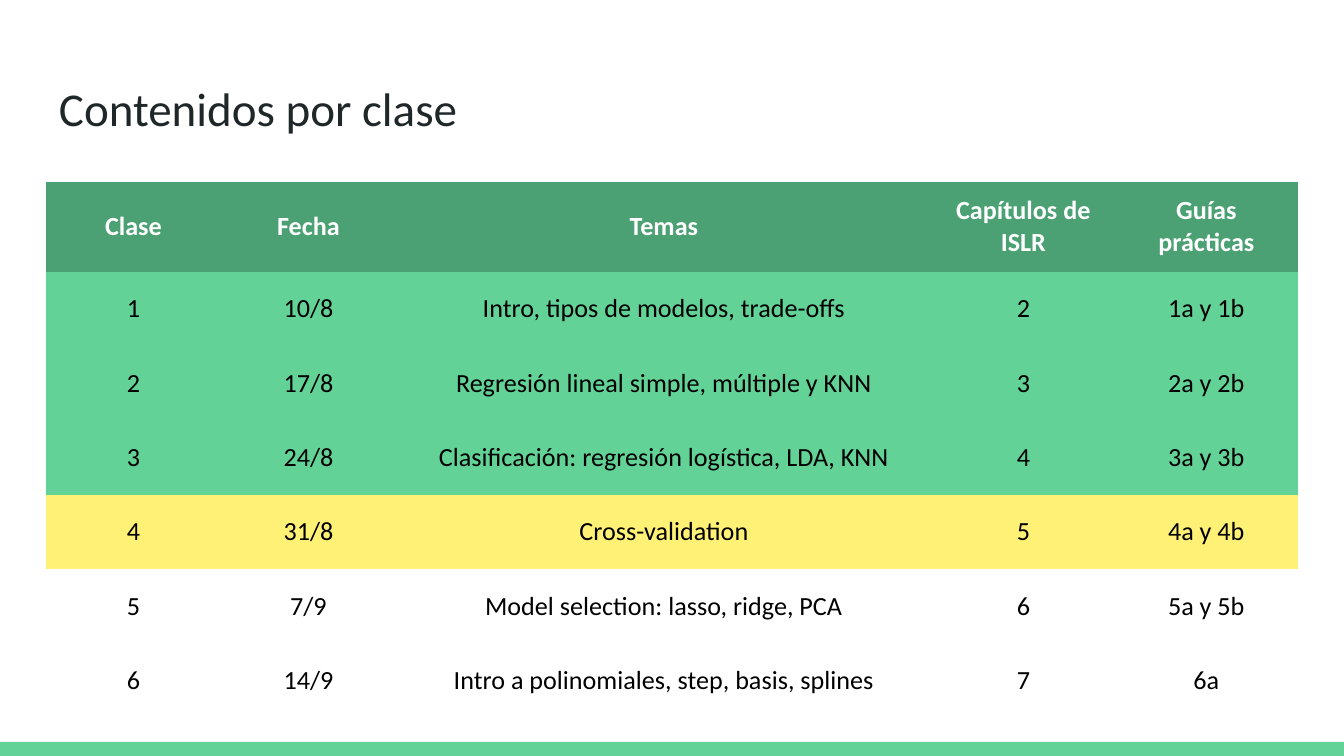
from pptx import Presentation
from pptx.dml.color import RGBColor
from pptx.enum.shapes import MSO_SHAPE
from pptx.enum.text import MSO_ANCHOR, MSO_AUTO_SIZE, PP_ALIGN
from pptx.util import Emu, Pt

RECTANGLE = MSO_SHAPE.RECTANGLE
TOP, MIDDLE = MSO_ANCHOR.TOP, MSO_ANCHOR.MIDDLE
LEFT, CENTER = PP_ALIGN.LEFT, PP_ALIGN.CENTER
FIXED_SIZE = MSO_AUTO_SIZE.NONE
EMU_PER_PX = 9144000 / 1344
PLAIN_TABLE = "{2D5ABB26-0587-4C30-8999-92F81FD0307C}"

GREEN, DARK_GREEN, YELLOW = "63D297", "4BA173", "FFF176"
WHITE, BLACK, INK = "FFFFFF", "000000", "202729"

HEADERS = ["Clase", "Fecha", "Temas", "Capítulos de ISLR", "Guías prácticas"]
CLASSES = [
    ["1", "10/8", "Intro, tipos de modelos, trade-offs", "2", "1a y 1b"],
    ["2", "17/8", "Regresión lineal simple, múltiple y KNN", "3", "2a y 2b"],
    ["3", "24/8", "Clasificación: regresión logística, LDA, KNN", "4", "3a y 3b"],
    ["4", "31/8", "Cross-validation", "5", "4a y 4b"],
    ["5", "7/9", "Model selection: lasso, ridge, PCA", "6", "5a y 5b"],
    ["6", "14/9", "Intro a polinomiales, step, basis, splines", "7", "6a"],
]
ROW_FILLS = [DARK_GREEN, GREEN, GREEN, GREEN, YELLOW, None, None]
COLUMN_WIDTHS = [175, 175, 536, 183, 183]


def px(length):
    return Emu(round(length * EMU_PER_PX))


def color(value):
    return RGBColor.from_string(value)


def write(frame, text, font="Calibri", size=14, ink=BLACK, bold=False, align=CENTER):
    para = frame.paragraphs[0]
    para.alignment = align
    span = para.add_run()
    span.text = text
    span.font.name = font
    span.font.size = Pt(size)
    span.font.bold = bold
    span.font.color.rgb = color(ink)


class SlideBuilder:
    margin = 13

    def __init__(self, page):
        self.page = page

    def set_margins(self, holder):
        holder.margin_left = holder.margin_right = px(self.margin)
        holder.margin_top = holder.margin_bottom = px(self.margin)

    def bar(self, left, top, width, height, fill):
        box = self.page.shapes.add_shape(
            RECTANGLE, px(left), px(top), px(width), px(height))
        box.shadow.inherit = False
        box.fill.solid()
        box.fill.fore_color.rgb = color(fill)
        box.line.fill.background()

    def title(self, text, left, top, width, height):
        box = self.page.shapes.title
        box.left, box.top = px(left), px(top)
        box.width, box.height = px(width), px(height)
        frame = box.text_frame
        frame.word_wrap = True
        frame.auto_size = FIXED_SIZE
        frame.vertical_anchor = TOP
        self.set_margins(frame)
        write(frame, text, size=25.2, ink=INK, align=LEFT)

    def table(self, rows, fills, widths, left, top, height):
        box = self.page.shapes.add_table(
            len(rows), len(widths), px(left), px(top), px(sum(widths)), px(height))
        table = box.table
        table.first_row = table.horz_banding = False
        table._tbl.tblPr.find("{*}tableStyleId").text = PLAIN_TABLE
        for column, width in zip(table.columns, widths):
            column.width = px(width)
        for index, (row, fill) in enumerate(zip(rows, fills)):
            header = index == 0
            for cell, text in zip(table.rows[index].cells, row):
                self.set_margins(cell)
                cell.vertical_anchor = MIDDLE
                if fill:
                    cell.fill.solid()
                    cell.fill.fore_color.rgb = color(fill)
                else:
                    cell.fill.background()
                write(cell.text_frame, text, ink=WHITE if header else BLACK, bold=header)


def main():
    deck = Presentation()
    deck.slide_width, deck.slide_height = px(1344), px(756)
    builder = SlideBuilder(deck.slides.add_slide(deck.slide_layouts[5]))
    builder.bar(0, 742, 1344, 14, GREEN)
    builder.title("Contenidos por clase", 46, 66, 1252, 85)
    builder.table([HEADERS] + CLASSES, ROW_FILLS, COLUMN_WIDTHS, 46, 182, 521)
    deck.save("out.pptx")


if __name__ == "__main__":
    main()
